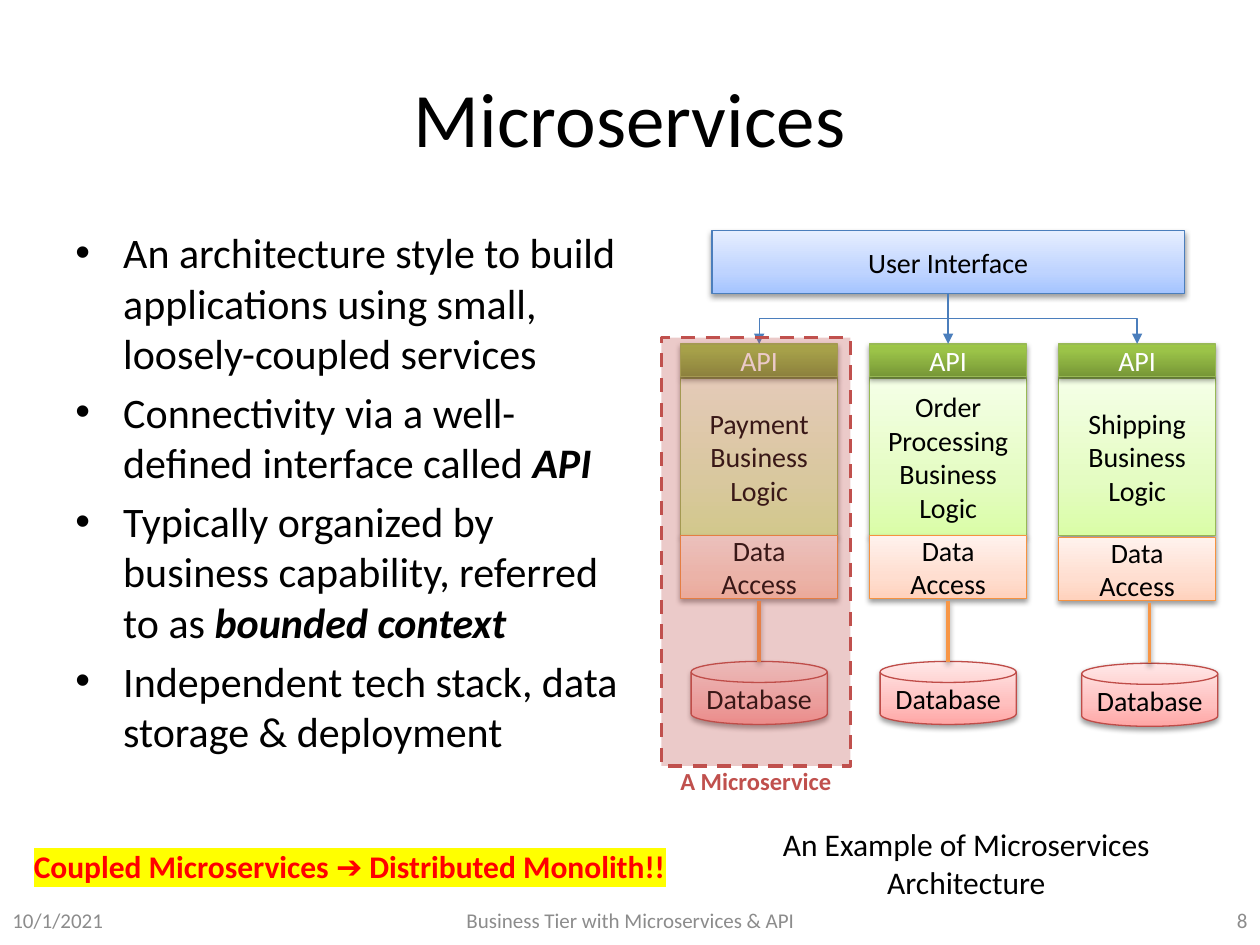
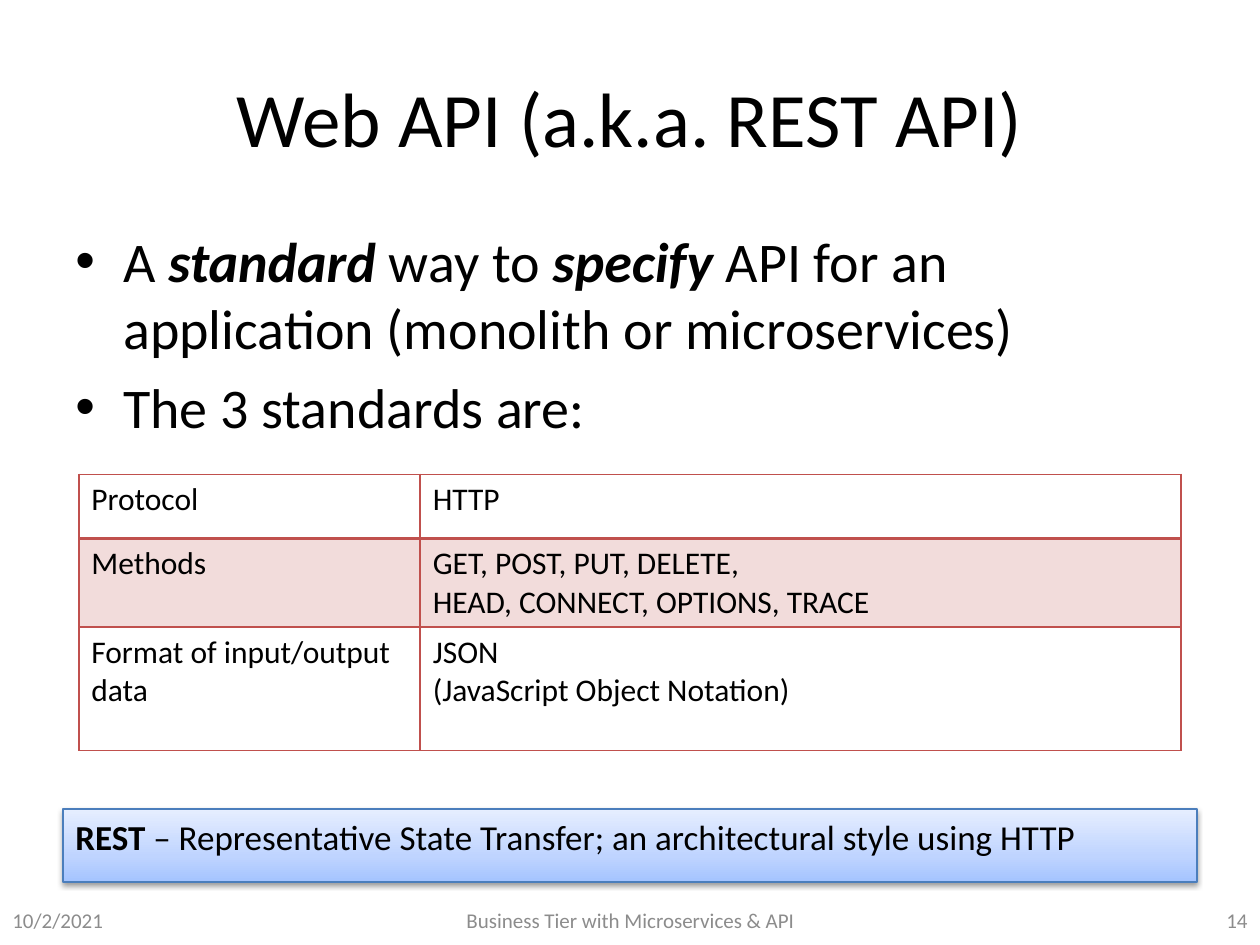
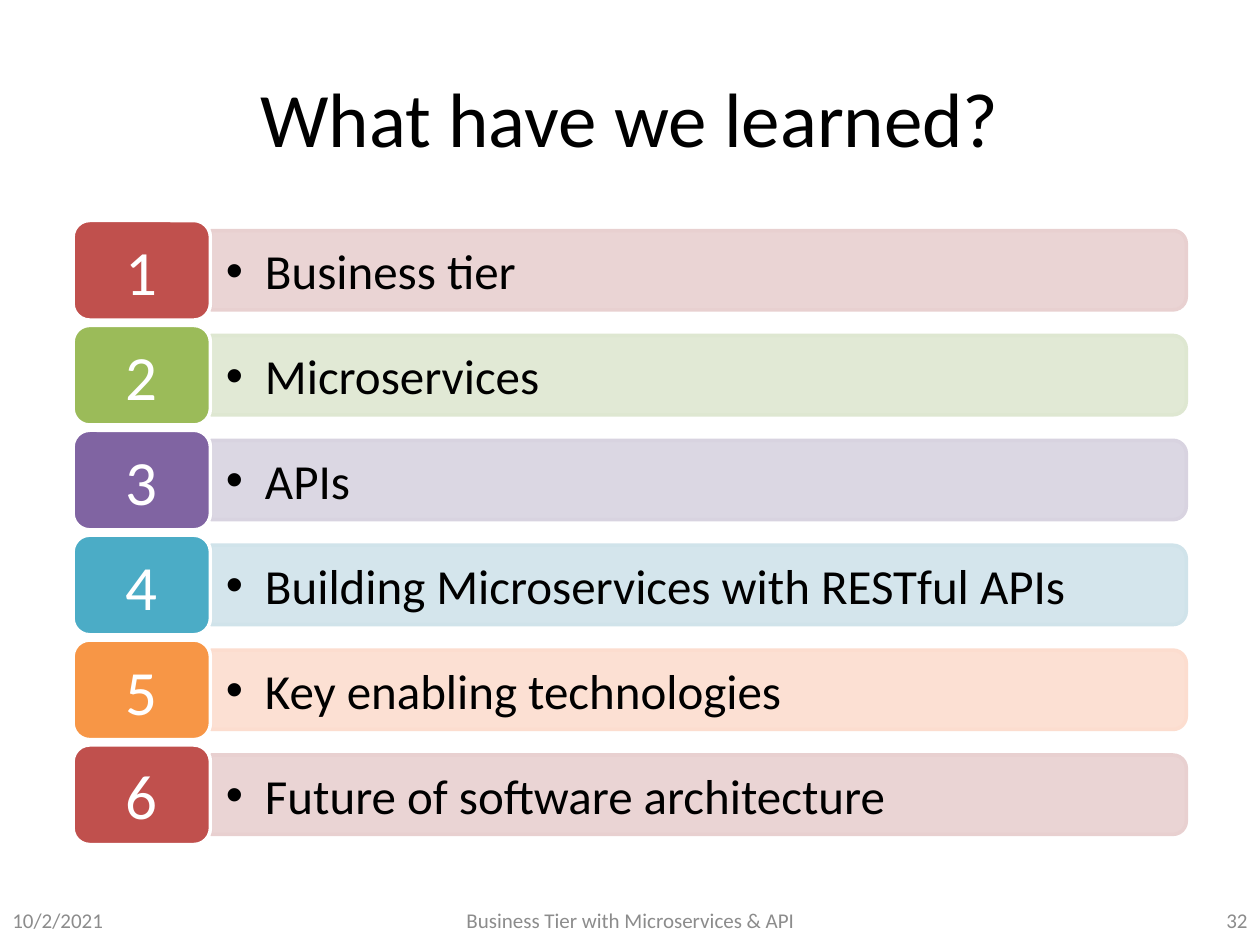
from pptx import Presentation
from pptx.dml.color import RGBColor
from pptx.enum.dml import MSO_LINE
from pptx.enum.shapes import MSO_CONNECTOR, MSO_SHAPE
from pptx.enum.text import MSO_ANCHOR, PP_ALIGN
from pptx.oxml import parse_xml
from pptx.oxml.ns import nsdecls, qn
from pptx.util import Inches, Pt

LEFT, CENTER, RIGHT = PP_ALIGN.LEFT, PP_ALIGN.CENTER, PP_ALIGN.RIGHT
TOP, MIDDLE = MSO_ANCHOR.TOP, MSO_ANCHOR.MIDDLE
STRAIGHT, ELBOW = MSO_CONNECTOR.STRAIGHT, MSO_CONNECTOR.ELBOW
RECT, DISK = MSO_SHAPE.RECTANGLE, MSO_SHAPE.FLOWCHART_MAGNETIC_DISK
ROUNDED, ROUNDED_END = MSO_SHAPE.ROUNDED_RECTANGLE, MSO_SHAPE.ROUND_2_SAME_RECTANGLE
DASH = MSO_LINE.DASH

# The page is a grid of 40 columns by 30 rows
COLUMNS, ROWS, CELL = 40, 30, 0.25
FONT = "Calibri"
FOOTER = "Business Tier with Microservices & API"

COLORS = {
    "text": "000000", "white": "FFFFFF", "footer": "8C8C8C",
    "red": "C0504D", "green": "9BBB59", "purple": "8064A2",
    "teal": "4BACC6", "orange": "F79646", "blue": "4B7EBC",
    "pale red": "E8D0D0", "pale green": "DEE7D1", "pale purple": "D8D3E0",
    "pale teal": "D0E3EA", "pale orange": "FCDDCF", "band": "F2DCDB",
    "warning": "FF0000", "marker": "FFFF00",
    "green edge": "98B955", "orange edge": "F69240", "red edge": "BF4C48",
}
# Glossy looks: gradient stops from bottom to top, and the outline
GLOSS = {
    "interface": ([(0, "A4C4FF"), (35, "BFD4FF"), (100, "E6EEFF")], "blue"),
    "api": ([(0, "779737"), (80, "9BC348"), (100, "9DC746")], "green edge"),
    "logic": ([(0, "DAFDA7"), (35, "E4FCC2"), (100, "F5FFE7")], "green edge"),
    "access": ([(0, "FFD2BD"), (35, "FFDED0"), (100, "FFF2ED")], "orange edge"),
    "store": ([(0, "FFA6A5"), (35, "FFC0BF"), (100, "FFE7E7")], "red edge"),
}


def rgb(name):
    return RGBColor.from_string(COLORS[name])


def xml(tag, attributes="", inner=""):
    return parse_xml(f"<a:{tag} {nsdecls('a')} {attributes}>{inner}</a:{tag}>")


def solid(color):
    return f'<a:solidFill><a:srgbClr val="{color}"/></a:solidFill>'


def soft_shadow():
    return xml("effectLst", inner=(
        '<a:outerShdw blurRad="39370" dist="20320" dir="5400000" rotWithShape="0">'
        '<a:srgbClr val="000000"><a:alpha val="38000"/></a:srgbClr></a:outerShdw>'))


class Deck:
    def __init__(self):
        self.presentation = Presentation()
        self.presentation.slide_width = Inches(COLUMNS * CELL)
        self.presentation.slide_height = Inches(ROWS * CELL)
        self.slide = None

    def grid(self, *cells):
        return [Inches(cell * CELL) for cell in cells]

    def page(self, title, date, number):
        self.slide = self.presentation.slides.add_slide(self.presentation.slide_layouts[6])
        self.text((2, 1.2, 36, 5), [title], 44, align=CENTER, anchor=MIDDLE)
        for column, width, words, align in (
                (0, 9.32, date, LEFT), (30.68, 9.32, str(number), RIGHT),
                (13.68, 12.68, FOOTER, CENTER)):
            self.text((column, 28.4, width, 1.6), [words], 12, "footer", align, MIDDLE)

    def typeset(self, frame, lines, size, color="text", align=LEFT, bold=None,
                italic=None, indent=0, spacing=0, marker=None):
        """Fill a text frame; parts between asterisks are emphasised."""
        for index, line in enumerate(lines):
            paragraph = frame.add_paragraph() if index else frame.paragraphs[0]
            paragraph.alignment = align
            if indent:
                properties = paragraph._p.get_or_add_pPr()
                properties.set("marL", str(Inches(indent)))
                properties.set("indent", str(-Inches(indent)))
                properties.append(xml("buFont", 'typeface="Arial"'))
                properties.append(xml("buChar", 'char="•"'))
            if spacing:
                paragraph.space_before = Pt(size * spacing)
            font = paragraph.font
            font.name, font.size, font.bold = FONT, Pt(size), bold
            font.color.rgb = rgb(color)
            for position, part in enumerate(line.split("*")):
                if not part:
                    continue
                run = paragraph.add_run()
                run.text = part
                if position % 2:
                    run.font.bold, run.font.italic = True, italic
                if marker:
                    run._r.get_or_add_rPr().append(
                        xml("highlight", inner=f'<a:srgbClr val="{COLORS[marker]}"/>'))

    def text(self, box, lines, size, color="text", align=LEFT, anchor=TOP, **style):
        frame = self.slide.shapes.add_textbox(*self.grid(*box)).text_frame
        frame.word_wrap = True
        frame.vertical_anchor = anchor
        self.typeset(frame, lines, size, color, align, **style)

    def bullets(self, box, lines, size):
        self.text(box, lines, size, indent=0.38, spacing=0.2, italic=True)

    def shape(self, kind, box, edge, width, fill=None, alpha=None):
        shape = self.slide.shapes.add_shape(kind, *self.grid(*box))
        shape.element.remove(shape.element.find(qn("p:style")))
        shape.shadow.inherit = False
        shape.line.color.rgb = rgb(edge)
        shape.line.width = Pt(width)
        if fill:
            shape.fill.solid()
            shape.fill.fore_color.rgb = rgb(fill)
        if alpha:
            color = shape.element.spPr.find(qn("a:solidFill"))[0]
            color.append(xml("alpha", f'val="{alpha * 1000}"'))
        shape.text_frame.word_wrap = True
        shape.text_frame.vertical_anchor = MIDDLE
        return shape

    def glossy(self, box, look, label, size=16, kind=RECT, align=CENTER, anchor=MIDDLE,
               color="text"):
        stops, edge = GLOSS[look]
        shape = self.shape(kind, box, edge, 0.75)
        properties = shape.element.spPr
        colors = "".join(f'<a:gs pos="{at * 1000}"><a:srgbClr val="{value}"/></a:gs>'
                         for at, value in stops)
        properties.insert(2, xml("gradFill", 'rotWithShape="1"', (
            f'<a:gsLst>{colors}</a:gsLst><a:lin ang="16200000" scaled="0"/>')))
        properties.replace(properties.find(qn("a:effectLst")), soft_shadow())
        shape.text_frame.vertical_anchor = anchor
        self.typeset(shape.text_frame, [label], size, color, align)

    def connector(self, kind, ends, color, width, arrow=False, shadow=False):
        line = self.slide.shapes.add_connector(kind, *self.grid(*ends))
        line.line.color.rgb = rgb(color)
        line.line.width = Pt(width)
        properties = line.element.spPr
        if arrow:
            properties.find(qn("a:ln")).append(xml("tailEnd", 'type="triangle"'))
        properties.append(soft_shadow() if shadow else xml("effectLst"))
        return line

    def arrow_down(self, x1, y1, x2, y2):
        """Arrow that leaves and arrives vertically."""
        if x1 == x2:
            self.connector(STRAIGHT, (x1, y1, x2, y2), "blue", 0.75, arrow=True)
            return
        middle_x, middle_y = (x1 + x2) / 2, (y1 + y2) / 2
        side = 1 if x2 < x1 else -1
        half_drop, half_reach = side * (y2 - y1) / 2, abs(x2 - x1) / 2
        elbow = self.connector(ELBOW, (
            middle_x - half_drop, middle_y - half_reach,
            middle_x + half_drop, middle_y + half_reach), "blue", 0.75, arrow=True)
        quarter_turns = 1 if side == 1 else 3
        elbow.element.spPr.find(qn("a:xfrm")).set("rot", str(quarter_turns * 5400000))

    def table(self, box, widths, heights, rows, size):
        table = self.slide.shapes.add_table(len(rows), len(widths), *self.grid(*box)).table
        table.first_row = table.horz_banding = False
        for column, width in zip(table.columns, self.grid(*widths)):
            column.width = width
        for row, height in zip(table.rows, self.grid(*heights)):
            row.height = height
        for r, row in enumerate(rows):
            for c, lines in enumerate(row):
                cell = table.cell(r, c)
                self.typeset(cell.text_frame, lines, size)
                if r % 2:
                    cell.fill.solid()
                    cell.fill.fore_color.rgb = rgb("band")
                else:
                    cell.fill.background()
                for order, side in enumerate("LRTB"):
                    heavy = (r, side) in ((0, "B"), (1, "T"))
                    cell._tc.get_or_add_tcPr().insert(order, xml(
                        f"ln{side}", f'w="{Pt(2 if heavy else 1)}"', solid(COLORS["red"])))

    def agenda_row(self, top, number, topic, color):
        bar_left, width, height = 6.7, 30.96, 2.52
        middle_x, middle_y = bar_left + width / 2, top + 1.58
        pale = f"pale {color}"
        bar = self.shape(ROUNDED_END, (middle_x - height / 2, middle_y - width / 2,
                                       height, width), pale, 2, pale, 90)
        bar.rotation = 90
        self.text((bar_left + 0.08, top + 0.44, 30.84, 2.28), [topic], 28,
                  anchor=MIDDLE, indent=0.31)
        badge = self.shape(ROUNDED, (2.32, top, 4.36, 3.16), "white", 2, color)
        self.typeset(badge.text_frame, [str(number)], 36, "white", CENTER)


def microservices(deck):
    deck.page("Microservices", "10/1/2021", 8)
    deck.bullets((2, 7, 18.24, 19.8), [
        "An architecture style to build applications using small, loosely-coupled services",
        "Connectivity via a well-defined interface called *API*",
        "Typically organized by business capability, referred to as *bounded context*",
        "Independent tech stack, data storage & deployment"], 24)
    deck.text((22.68, 26, 16, 2.84), ["An Example of Microservices Architecture"], 18,
              align=CENTER)

    # One stack per service, the last one set slightly lower and its store to the right
    deck.glossy((22.6, 7.32, 15, 2), "interface", "User Interface")
    services = [("Payment", 0, 0), ("Order Processing", 0, 0), ("Shipping", 0.4, 0.06)]
    for index, (service, shift, drop) in enumerate(services):
        left = 21.6 + 6 * index
        center = left + 2.5
        deck.glossy((left, 12, 5, 5), "logic", f"{service} Business Logic")
        deck.glossy((left, 17 + drop, 5, 2), "access", "Data Access")
        deck.glossy((left + 0.34 + shift, 21 + drop, 4.32, 2), "store", "Database", kind=DISK)
        deck.connector(STRAIGHT, (center + shift, 19.08 + drop, center + shift, 21 + drop),
                       "orange", 2, shadow=True)
        deck.glossy((left, 10.92, 5, 1.04), "api", "API", color="white")
        deck.arrow_down(30.1, 9.32, center, 10.92)

    # Marked service and warning
    deck.shape(RECT, (21, 10.72, 6, 13.6), "red", 2, "red", 30).line.dash_style = DASH
    deck.text((21, 24.12, 6, 1.36), ["A Microservice"], 14, "red", CENTER, bold=True)
    deck.text((0.68, 26.68, 22, 1.6), ["Coupled Microservices ➔ Distributed Monolith!!"], 18,
              "warning", bold=True, marker="marker")


def web_api(deck):
    deck.page("Web API (a.k.a. REST API)", "10/2/2021", 14)
    deck.bullets((2, 7, 36, 7.92), [
        "A *standard* way to *specify* API for an application (monolith or microservices)",
        "The 3 standards are:"], 32)
    deck.table((2.5, 15.06, 35, 8.64), (10.84, 24.16), (2.04, 2.68, 3.92), [
        [["Protocol"], ["HTTP"]],
        [["Methods"], ["GET, POST, PUT, DELETE,", "HEAD, CONNECT, OPTIONS, TRACE"]],
        [["Format of input/output data"], ["JSON", "(JavaScript Object Notation)"]]], 18)
    deck.glossy((2, 25.68, 36, 2.32), "interface",
                "*REST* – Representative State Transfer; an architectural style using HTTP",
                20, align=LEFT, anchor=TOP)


def summary(deck):
    deck.page("What have we learned?", "10/2/2021", 32)
    topics = [("Business tier", "red"), ("Microservices", "green"), ("APIs", "purple"),
              ("Building Microservices with RESTful APIs", "teal"),
              ("Key enabling technologies", "orange"),
              ("Future of software architecture", "red")]
    for index, (topic, color) in enumerate(topics):
        deck.agenda_row(7 + 3.33 * index, index + 1, topic, color)


def main():
    deck = Deck()
    microservices(deck)
    web_api(deck)
    summary(deck)
    deck.presentation.save("out.pptx")


if __name__ == "__main__":
    main()
